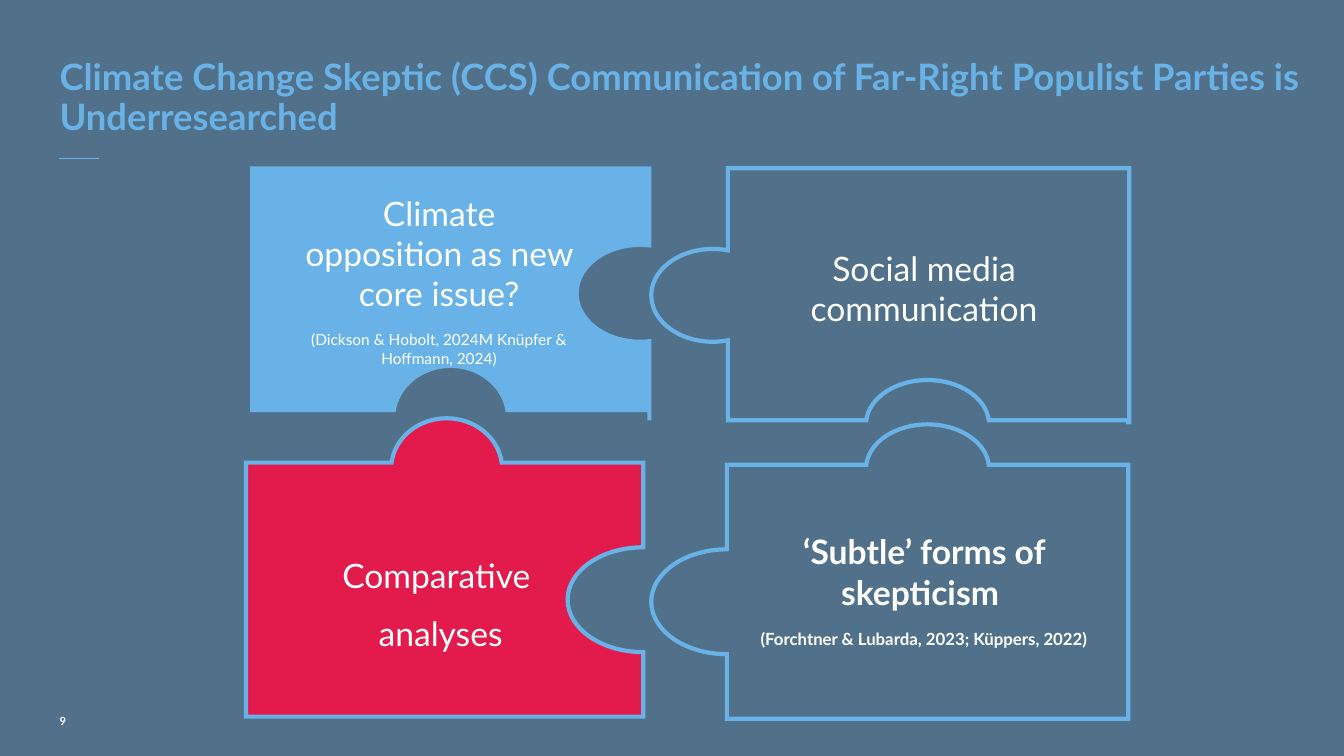
import math

import lxml.etree
import pptx
import pptx.dml.color
import pptx.enum.shapes
import pptx.enum.text
import pptx.oxml.ns
import pptx.util

Inches = pptx.util.Inches
Pt = pptx.util.Pt
Align = pptx.enum.text.PP_ALIGN
qn = pptx.oxml.ns.qn

SLATE = pptx.dml.color.RGBColor(0x50, 0x71, 0x89)
SKY = pptx.dml.color.RGBColor(0x69, 0xB2, 0xE7)
CRIMSON = pptx.dml.color.RGBColor(0xE3, 0x1B, 0x4C)
WHITE = pptx.dml.color.RGBColor(0xFF, 0xFF, 0xFF)

WIDTH, HEIGHT = 13.33, 7.5
MARGIN = 0.59
PAD = (0.1, 0.05, 0.1, 0.05)
TITLE = ("Climate Change Skeptic (CCS) Communication of Far-Right "
         "Populist Parties is Underresearched")

# Each tab or socket: centre along its edge, centre beyond its edge,
# horizontal radius, vertical radius. All of them bulge left or up.
PIECES = [
    dict(box=(2.48, 1.65, 3.98, 2.44), fill=SKY, outlined=False,
         right=(1.26, -0.11, 0.61, 0.46), bottom=(1.99, 0.06, 0.55, 0.5),
         tail=(0.04, 0.08)),
    dict(box=(7.21, 4.61, 3.98, 2.52),
         top=(1.99, 0.04, 0.61, 0.44), left=(1.36, 0, 0.75, 0.52)),
    dict(box=(2.44, 4.59, 3.94, 2.52), fill=CRIMSON,
         top=(1.99, 0.06, 0.55, 0.5), right=(1.36, 0, 0.75, 0.52)),
    dict(box=(7.22, 1.67, 3.98, 2.5),
         left=(1.26, -0.15, 0.61, 0.46), bottom=(1.98, 0.04, 0.61, 0.44),
         tail=(0.01, 0.02)),
]

# Box, insets, bold, and paragraphs with their sizes
LABELS = [
    ((7.2, 2.41, 3.93, 0.91), PAD, False,
     [("Social media\vcommunication", 24)]),
    ((2.48, 5.46, 3.78, 1.08), PAD, False,
     [("Comparative ", 24), ("analyses", 24)]),
    ((2.67, 1.91, 3.18, 1.66), (0.35, 0, 0.16, 0), False,
     [("Climate opposition as new core issue?", 24),
      ("(Dickson & Hobolt, 2024M Knüpfer & Hoffmann, 2024)", 11)]),
    ((7.27, 5.22, 3.79, 1.28), PAD, True,
     [("‘Subtle’ forms of skepticism ", 24),
      ("(Forchtner & Lubarda, 2023; Küppers, 2022)", 12)]),
]


def arc(x, y, radius_x, radius_y, start, middle, end):
    """Two Bézier strokes on an ellipse; degrees run clockwise from the right."""
    def place(angle, reach=0.0):
        return (x + radius_x * (math.cos(angle) - reach * math.sin(angle)),
                y + radius_y * (math.sin(angle) + reach * math.cos(angle)))

    start, middle, end = map(math.radians, (start, middle, end))
    strokes = [[place(start)]]
    for begin, finish in ((start, middle), (middle, end)):
        reach = 4 / 3 * math.tan((finish - begin) / 4)
        strokes.append([place(begin, reach), place(finish, -reach),
                        place(finish)])
    return strokes


def upward_arc(left, edge, curve, turn):
    """Arc on a level edge; turn is 1 from left to right, -1 back."""
    along, beyond, radius_x, radius_y = curve
    sweep = turn * (90 - math.degrees(math.asin(beyond / radius_y)))
    return arc(left + along, edge + beyond, radius_x, radius_y,
               270 - sweep, 270, 270 + sweep)


def leftward_arc(edge, top, curve, turn):
    """Arc on an upright edge; turn is 1 from bottom to top, -1 back."""
    along, beyond, radius_x, radius_y = curve
    sweep = turn * (90 - math.degrees(math.asin(beyond / radius_x)))
    return arc(edge + beyond, top + along, radius_x, radius_y,
               180 - sweep, 180, 180 + sweep)


def piece_outline(box, top=None, right=None, bottom=None, left=None, tail=None):
    """Strokes of one or three points, clockwise from the top left corner."""
    x, y, width, height = box
    end_x, end_y = x + width, y + height
    strokes = [[(x, y)]]
    if top:
        strokes += upward_arc(x, y, top, 1)
    strokes.append([(end_x, y)])
    if right:
        strokes += leftward_arc(end_x, y, right, -1)
    if tail:
        tail_x, tail_y = end_x - tail[0], end_y + tail[1]
        strokes += [[(end_x, tail_y)], [(tail_x, tail_y)], [(tail_x, end_y)]]
    else:
        strokes.append([(end_x, end_y)])
    if bottom:
        strokes += upward_arc(x, end_y, bottom, -1)
    strokes.append([(x, end_y)])
    if left:
        strokes += leftward_arc(x, y, left, 1)
    return strokes


def bend(piece, strokes):
    """Turn each three-point stroke of the drawn outline into one curve."""
    segments = iter(list(piece._element.iter(qn("a:lnTo"))))
    for stroke in strokes[1:]:
        group = [next(segments) for _ in stroke]
        if len(group) == 3:
            curve = lxml.etree.Element(qn("a:cubicBezTo"))
            group[0].addprevious(curve)
            for segment in group:
                curve.append(segment[0])
                segment.getparent().remove(segment)


def add_piece(page, box, fill=None, outlined=True, **edges):
    strokes = piece_outline(box, **edges)
    points = [(Inches(x), Inches(y)) for stroke in strokes for x, y in stroke]
    builder = page.shapes.build_freeform(*points[0], scale=1.0)
    builder.add_line_segments(points[1:], close=True)
    piece = builder.convert_to_shape()
    bend(piece, strokes)
    piece.shadow.inherit = False
    if fill is None:
        piece.fill.background()
    else:
        piece.fill.solid()
        piece.fill.fore_color.rgb = fill
    if outlined:
        piece.line.color.rgb = SKY
        piece.line.width = Pt(3)
        join = lxml.etree.SubElement(piece.line._get_or_add_ln(), qn("a:miter"))
        join.set("lim", "800000")
    else:
        piece.line.fill.background()


def set_frame(frame, insets):
    frame.word_wrap = True
    frame.auto_size = pptx.enum.text.MSO_AUTO_SIZE.NONE
    frame.vertical_anchor = pptx.enum.text.MSO_ANCHOR.TOP
    (frame.margin_left, frame.margin_top,
     frame.margin_right, frame.margin_bottom) = map(Inches, insets)


def set_font(para, size, color, bold):
    para.font.name = "Lato"
    para.font.size = Pt(size)
    para.font.color.rgb = color
    para.font.bold = bold


def add_label(page, box, insets, bold, lines, align=Align.CENTER):
    frame = page.shapes.add_textbox(*map(Inches, box)).text_frame
    set_frame(frame, insets)
    for index, (text, size) in enumerate(lines):
        para = frame.add_paragraph() if index else frame.paragraphs[0]
        para.text = text
        para.alignment = align
        para.space_before = Pt(6 if index else 0)
        para.space_after = Pt(6)
        set_font(para, size, WHITE, bold)


def add_heading(page, box):
    """Title with a short rule under it."""
    left, top, width, height = box
    title = page.shapes.title
    title.left, title.top, title.width, title.height = map(Inches, box)
    set_frame(title.text_frame, (0, 0, 0, 0))
    para = title.text_frame.paragraphs[0]
    para.text = TITLE
    para.alignment = Align.LEFT
    para.line_spacing = 0.9
    set_font(para, 26, SKY, True)

    rule_y = Inches(top + height + 0.19)
    rule = page.shapes.add_connector(
        pptx.enum.shapes.MSO_CONNECTOR.STRAIGHT,
        Inches(left), rule_y, Inches(left + 0.39), rule_y)
    rule.line.color.rgb = SKY
    rule.line.width = Pt(0.5)
    lxml.etree.SubElement(rule._element.spPr, qn("a:effectLst"))


deck = pptx.Presentation()
deck.slide_width, deck.slide_height = Inches(WIDTH), Inches(HEIGHT)
page = deck.slides.add_slide(deck.slide_layouts.get_by_name("Title Only"))
page.background.fill.solid()
page.background.fill.fore_color.rgb = SLATE
add_heading(page, (MARGIN, MARGIN, 12.35, 0.79))
add_label(page, (MARGIN, 7.09, 0.39, 0.24), (0, 0, 0, 0), True,
          [("9", 8)], Align.LEFT)
for piece in PIECES:
    add_piece(page, **piece)
for label in LABELS:
    add_label(page, *label)
deck.save("out.pptx")
